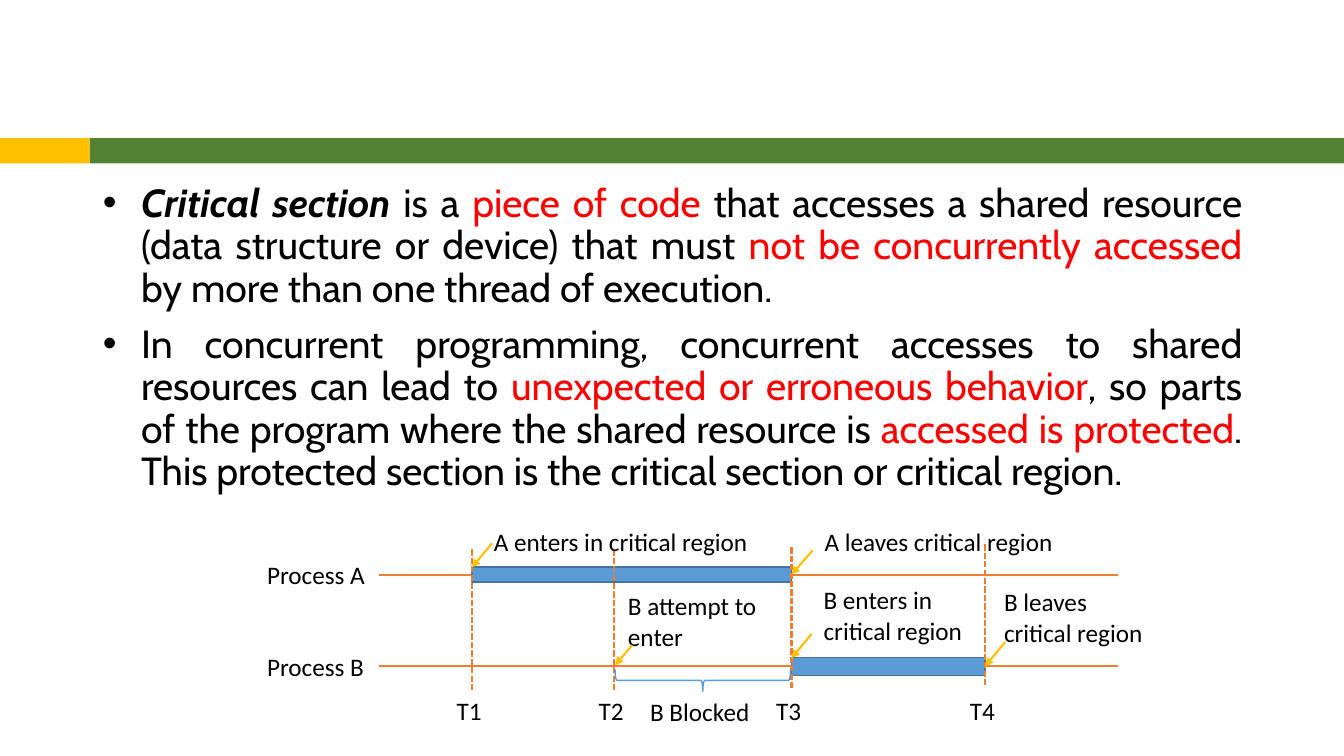
from lxml import etree
from pptx import Presentation
from pptx import util as u
from pptx.dml.color import RGBColor
from pptx.enum import dml, shapes, text
from pptx.oxml.ns import qn

BLACK = RGBColor(0, 0, 0)
RED = RGBColor(0xFF, 0, 0)
GREEN = RGBColor(0x54, 0x82, 0x35)
GOLD = RGBColor(0xFF, 0xC0, 0)
ORANGE = RGBColor(0xED, 0x7D, 0x31)
BLUE = RGBColor(0x5B, 0x9B, 0xD5)
DARK_BLUE = RGBColor(0x43, 0x73, 0x9E)

# Each run: words, style ("" plain, "term" bold italic, "key" red)
BULLETS = [
    [("Critical section ", "term"), ("is a ", ""), ("piece of code ", "key"),
     ("that accesses a shared resource (data structure or device) that must ", ""),
     ("not be concurrently accessed", "key"),
     (" by more than one thread of execution.", "")],
    [("In concurrent programming, concurrent accesses to shared resources can lead to ", ""),
     ("unexpected or erroneous behavior", "key"),
     (", so parts of the program where the shared resource is ", ""),
     ("accessed is protected", "key"),
     (". This protected section is the critical section or critical region.", "")],
]

# Lengths in px, 100 to the inch
PX = u.Inches(1) // 100
BODY = (92, 177, 1150, 340)
BANDS = [((89, 137, 1244, 25), GREEN), ((0, 137, 89, 25), GOLD)]
LINE_START, LINE_END = 376, 1109
PROCESSES = {"Process A": 570, "Process B": 661}
# Moment: x, top of its dashed line
MOMENTS = {"T1": (468, 545), "T2": (609, 545), "T3": (785, 543), "T4": (977, 540)}
DASH_LENGTH = 141
# Process: first moment, last moment, bar height
REGIONS = {"Process A": ("T1", "T3", 15), "Process B": ("T3", "T4", 18)}
EVENTS = [
    ("A enters in critical region", (480, 517, 277, 40)),
    ("B attempt to enter", (613, 581, 159, 71)),
    ("A leaves critical region", (808, 517, 252, 40)),
    ("B enters in critical region", (807, 575, 158, 71)),
    ("B leaves critical region", (986, 577, 159, 71)),
    ("B Blocked", (635, 686, 124, 40)),
]
# Start, end, process whose bar the arrow joins at the right side
ARROWS = [
    ((488, 539), (468, 563), None),
    ((627, 640), (610, 660), None),
    ((806, 546), (785, 570), "Process A"),
    ((805, 629), (785, 653), None),
    ((997, 637), (977, 661), "Process B"),
]
BRACE_DEPTH, BRACE_TOP = 22, 664


def scaled(values):
    return [round(value * PX) for value in values]


def add_block(slide, box, fill=None, line=None, kind=shapes.MSO_SHAPE.RECTANGLE):
    shape = slide.shapes.add_shape(kind, *scaled(box))
    shape.shadow.inherit = False
    if fill is None:
        shape.fill.background()
    else:
        shape.fill.solid()
        shape.fill.fore_color.rgb = fill
    if line is None:
        shape.line.fill.background()
    else:
        shape.line.color.rgb = line
        shape.line.width = u.Pt(1)
    return shape


def add_line(slide, start, end, color):
    line = slide.shapes.add_connector(
        shapes.MSO_CONNECTOR.STRAIGHT, *scaled(start + end))
    line.line.color.rgb = color
    line.line.width = u.Pt(1.5)
    etree.SubElement(line._element.spPr, qn("a:effectLst"))
    return line


def add_label(slide, words, box):
    label = slide.shapes.add_textbox(*scaled(box))
    frame = label.text_frame
    frame.word_wrap = True
    frame.text = words
    font = frame.paragraphs[0].runs[0].font
    font.name, font.size = "Calibri", u.Pt(18)
    font.color.rgb = BLACK


def fill_body(body):
    body.left, body.top, body.width, body.height = scaled(BODY)
    frame = body.text_frame
    frame.auto_size = text.MSO_AUTO_SIZE.NONE
    for index, runs in enumerate(BULLETS):
        paragraph = frame.add_paragraph() if index else frame.paragraphs[0]
        paragraph.alignment = text.PP_ALIGN.JUSTIFY
        paragraph.line_spacing = 0.9
        paragraph.space_before = u.Pt(10 if index else 0)
        properties = paragraph._p.get_or_add_pPr()
        properties.set("marL", str(38 * PX))
        properties.set("indent", str(-38 * PX))
        etree.SubElement(properties, qn("a:buFont"), typeface="Arial")
        etree.SubElement(properties, qn("a:buChar"), char="•")
        for words, style in runs:
            run = paragraph.add_run()
            run.text = words
            run.font.name, run.font.size = "Cabin", u.Pt(28)
            run.font.bold = run.font.italic = style == "term"
            run.font.color.rgb = RED if style == "key" else BLACK


def draw_timeline(slide):
    for name, y in PROCESSES.items():
        add_line(slide, (LINE_START, y), (LINE_END, y), ORANGE)
        add_label(slide, name, (255, y - 20, 121, 41))

    bars = {}
    for name, (first, last, height) in REGIONS.items():
        left, right = MOMENTS[first][0], MOMENTS[last][0]
        box = (left, PROCESSES[name] - height / 2, right - left, height)
        bars[name] = add_block(slide, box, BLUE, DARK_BLUE)

    for name, (x, top) in MOMENTS.items():
        dash = add_line(slide, (x, top), (x, top + DASH_LENGTH), ORANGE)
        dash.line.dash_style = dml.MSO_LINE.SQUARE_DOT
        add_label(slide, name, (x - 25, 685, 50, 40))

    for words, box in EVENTS:
        add_label(slide, words, box)
    for start, end, joined in ARROWS:
        arrow = add_line(slide, start, end, GOLD)
        etree.SubElement(arrow.line._get_or_add_ln(), qn("a:tailEnd"), type="triangle")
        if joined:
            arrow.end_connect(bars[joined], 3)

    # The brace is turned a quarter, so its box is upright around the same centre
    left, right = MOMENTS["T2"][0], MOMENTS["T3"][0]
    span = right - left - 2
    brace_box = ((left + right - BRACE_DEPTH) / 2,
                 BRACE_TOP + (BRACE_DEPTH - span) / 2, BRACE_DEPTH, span)
    brace = add_block(slide, brace_box, line=BLUE, kind=shapes.MSO_SHAPE.RIGHT_BRACE)
    brace.rotation = 90


def main():
    presentation = Presentation()
    presentation.slide_width, presentation.slide_height = scaled((1333, 750))
    slide = presentation.slides.add_slide(presentation.slide_layouts[1])
    title = slide.shapes.title._element
    title.getparent().remove(title)
    for box, color in BANDS:
        add_block(slide, box, color)
    fill_body(slide.placeholders[1])
    draw_timeline(slide)
    presentation.save("out.pptx")


if __name__ == "__main__":
    main()
